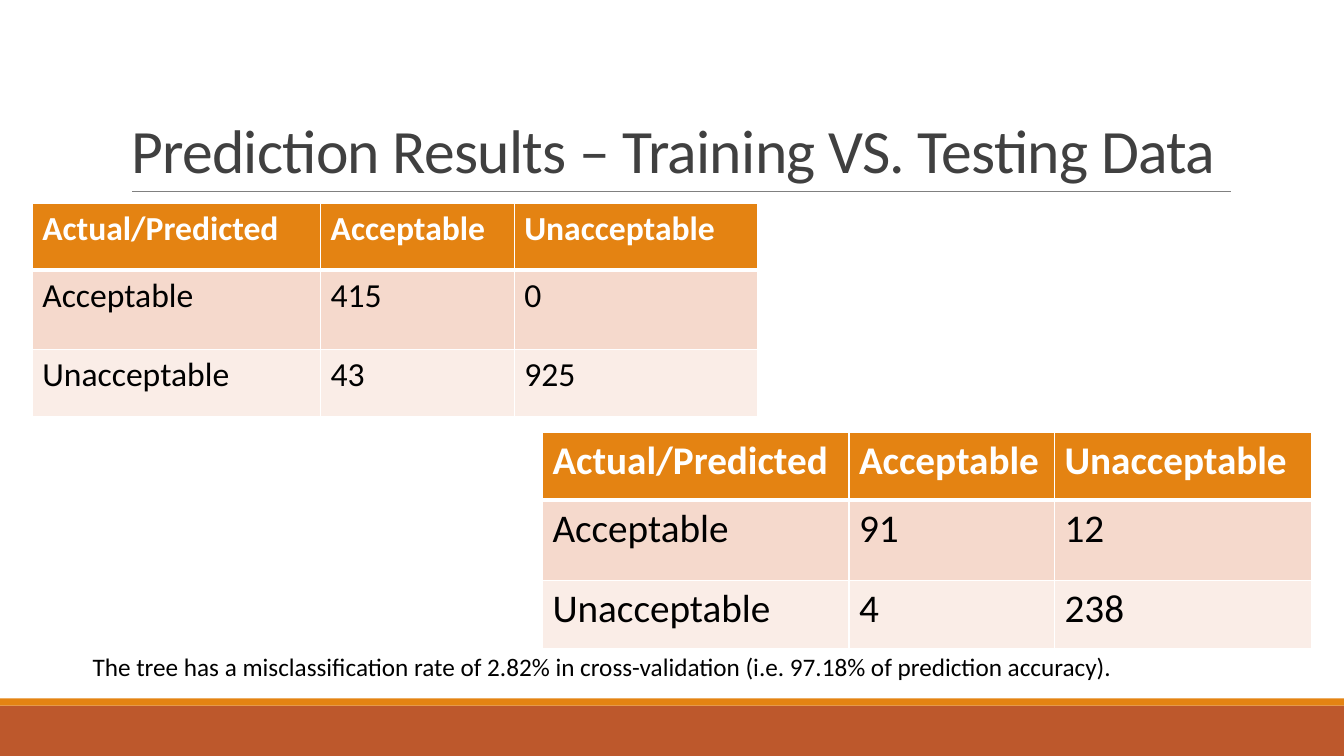
from lxml import etree
from pptx import Presentation
from pptx.dml.color import RGBColor
from pptx.enum.shapes import MSO_CONNECTOR, MSO_SHAPE
from pptx.enum.text import MSO_ANCHOR, MSO_AUTO_SIZE, PP_ALIGN
from pptx.oxml.ns import qn
from pptx.util import Inches, Pt

RECT = MSO_SHAPE.RECTANGLE
STRAIGHT = MSO_CONNECTOR.STRAIGHT
BOTTOM = MSO_ANCHOR.BOTTOM
NO_FIT = MSO_AUTO_SIZE.NONE
GROW = MSO_AUTO_SIZE.SHAPE_TO_FIT_TEXT
LEFT = PP_ALIGN.LEFT


def rgb(value):
    return RGBColor.from_string(value)


class Deck:
    """Holds the style and the current slide, and adds elements to it."""

    font = "Calibri"
    orange, rust, gray = "E48312", "BD582C", "808080"
    dark, black, white = "404040", "000000", "FFFFFF"
    row_fills = [orange, "F5D9CC", "FAEDE7"]

    def __init__(self):
        self.prs = Presentation()
        self.prs.slide_width = Inches(13.33)
        self.prs.slide_height = Inches(7.5)
        self.s = self.prs.slides.add_slide(self.prs.slide_layouts[5])

    def style(self, p, size, color, bold=False):
        p.alignment = LEFT
        p.font.name = self.font
        p.font.size = Pt(size)
        p.font.bold = bold
        p.font.color.rgb = rgb(color)

    def bar(self, top, height, color):
        sp = self.s.shapes.add_shape(RECT, 0, Inches(top), self.prs.slide_width, Inches(height))
        sp.shadow.inherit = False
        sp.fill.solid()
        sp.fill.fore_color.rgb = rgb(color)
        sp.line.fill.background()

    def rule(self, left, right, y):
        line = self.s.shapes.add_connector(STRAIGHT, Inches(left), Inches(y), Inches(right), Inches(y))
        line.line.color.rgb = rgb(self.gray)
        line.line.width = Pt(0.5)
        etree.SubElement(line._element.spPr, qn("a:effectLst"))

    def title(self, text, left, top, width, height):
        sp = self.s.shapes.title
        sp.left, sp.top, sp.width, sp.height = map(Inches, (left, top, width, height))
        tf = sp.text_frame
        tf.text = text
        tf.word_wrap = True
        tf.auto_size = NO_FIT
        tf.vertical_anchor = BOTTOM
        p = tf.paragraphs[0]
        p.line_spacing = 0.85
        self.style(p, 44, self.dark)
        p.runs[0].font._element.set("spc", "-50")

    def text(self, text, left, top, width, height, size):
        sp = self.s.shapes.add_textbox(*map(Inches, (left, top, width, height)))
        tf = sp.text_frame
        tf.word_wrap = True
        tf.auto_size = GROW
        tf.text = text
        self.style(tf.paragraphs[0], size, self.black)

    def borders(self, cell, top, bottom):
        tc_pr = cell._tc.get_or_add_tcPr()
        for i, (side, width) in enumerate(zip("LRTB", (1, 1, top, bottom))):
            ln = etree.Element(qn(f"a:ln{side}"), w=str(Pt(width)))
            fill = etree.SubElement(ln, qn("a:solidFill"))
            etree.SubElement(fill, qn("a:srgbClr"), val=self.white)
            tc_pr.insert(i, ln)

    def table(self, rows, left, top, widths, heights, size):
        frame = self.s.shapes.add_table(len(rows), len(widths), Inches(left), Inches(top),
                                        Inches(sum(widths)), Inches(sum(heights)))
        table = frame.table
        for column, width in zip(table.columns, widths):
            column.width = Inches(width)
        for i, (row, height) in enumerate(zip(rows, heights)):
            table.rows[i].height = Inches(height)
            header = i == 0
            for j, value in enumerate(row):
                cell = table.cell(i, j)
                cell.text = value
                cell.fill.solid()
                cell.fill.fore_color.rgb = rgb(self.row_fills[i])
                self.borders(cell, 3 if i == 1 else 1, 3 if header else 1)
                self.style(cell.text_frame.paragraphs[0], size,
                           self.white if header else self.black, header)


def confusion(acceptable, unacceptable):
    return [["Actual/Predicted", "Acceptable", "Unacceptable"],
            ["Acceptable", *acceptable],
            ["Unacceptable", *unacceptable]]


def main():
    deck = Deck()
    deck.bar(7, 0.5, deck.rust)
    deck.bar(6.93, 0.07, deck.orange)
    deck.rule(1.31, 12.21, 1.9)
    deck.title("Prediction Results – Training VS. Testing Data", 1.2, 0.31, 11, 1.59)
    deck.table(confusion(["91", "12"], ["4", "238"]), 5.38, 4.29,
               [3.04, 2.04, 2.55], [0.67, 0.8, 0.67], 28)
    deck.text("The tree has a misclassification rate of 2.82% in cross-validation "
              "(i.e. 97.18% of prediction accuracy).", 0.82, 6.41, 11.38, 0.4, 18)
    deck.table(confusion(["415", "0"], ["43", "925"]), 0.32, 2.02,
               [2.86, 1.92, 2.41], [0.66, 0.79, 0.66], 24)
    deck.prs.save("out.pptx")


if __name__ == "__main__":
    main()
